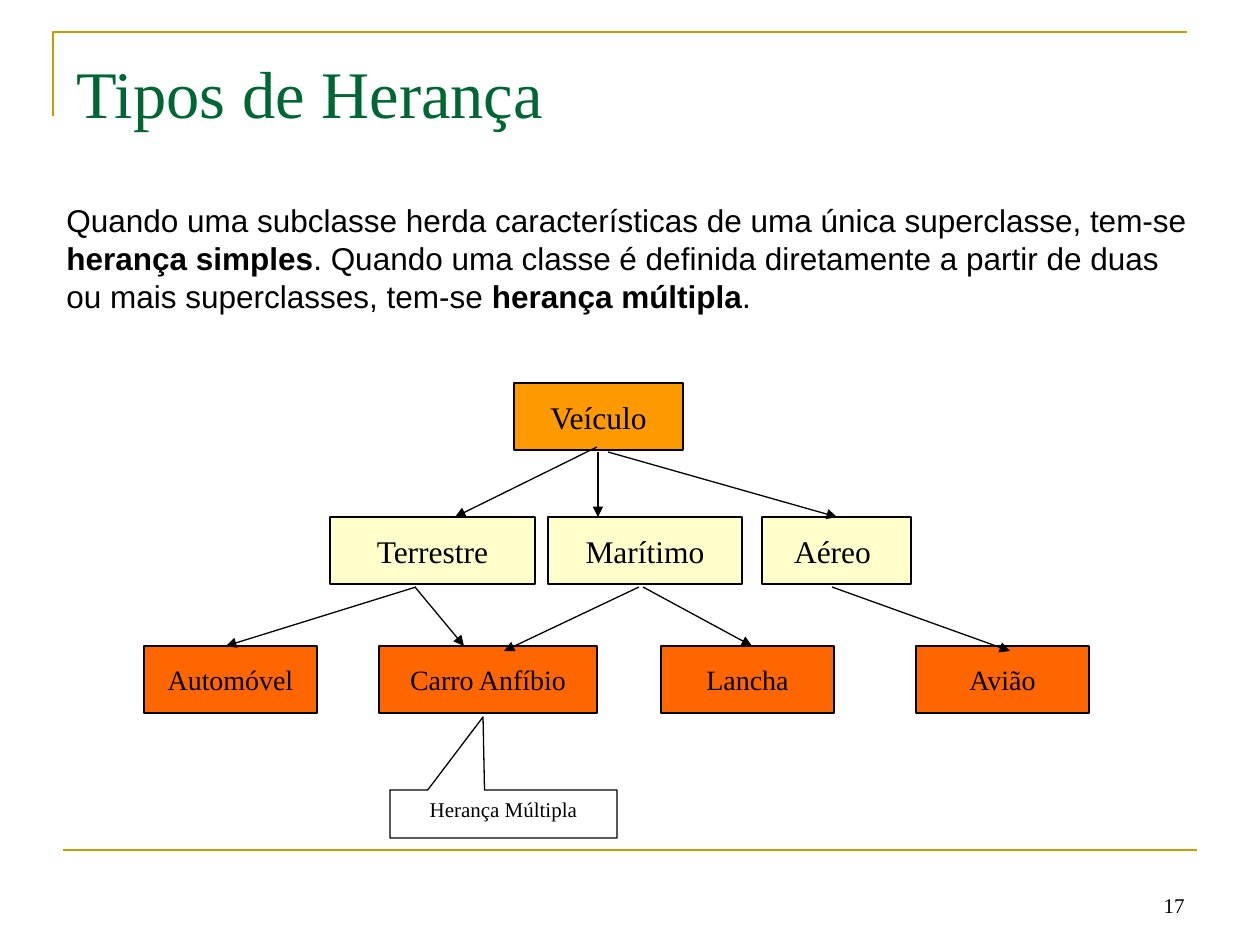
"""Build the slide on types of inheritance."""
from lxml.etree import SubElement
from pptx import Presentation
from pptx.dml.color import RGBColor
from pptx.enum.shapes import MSO_CONNECTOR, MSO_SHAPE
from pptx.enum.text import MSO_ANCHOR, PP_ALIGN
from pptx.oxml.ns import qn
from pptx.util import Emu, Pt

SCALE = 914400 / 126
BLACK = RGBColor(0x00, 0x00, 0x00)
GREEN = RGBColor(0x00, 0x66, 0x33)
GOLD = RGBColor(0xCC, 0x99, 0x00)
AMBER = RGBColor(0xFF, 0x99, 0x00)
CREAM = RGBColor(0xFF, 0xFF, 0xCC)
ORANGE = RGBColor(0xFF, 0x66, 0x00)
SERIF = "Times New Roman"
SANS = "Arial"


def px(*nums):
    return [Emu(round(num * SCALE)) for num in nums]


def write(frame, text, size=18, font=SERIF, color=BLACK, align=PP_ALIGN.LEFT,
          anchor=MSO_ANCHOR.TOP, wrap=True):
    frame.word_wrap = wrap
    frame.vertical_anchor = anchor
    para = frame.paragraphs[0]
    para.alignment = align
    for index, part in enumerate(text.split("*")):
        run = para.add_run()
        run.text = part
        run.font.size = Pt(size)
        run.font.name = font
        run.font.bold = index % 2 == 1
        run.font.color.rgb = color


class Canvas:
    def __init__(self, slide, thin=0.75, thick=1.5):
        self.shapes = slide.shapes
        self.thin = thin
        self.thick = thick

    def stroke(self, line, color, width):
        line.color.rgb = color
        line.width = Pt(width)

    def label(self, text, *rect, **style):
        write(self.shapes.add_textbox(*px(*rect)).text_frame, text, **style)

    def box(self, text, *rect, kind=MSO_SHAPE.RECTANGLE, fill=None, **style):
        shape = self.shapes.add_shape(kind, *px(*rect))
        shape.shadow.inherit = False
        if fill is None:
            shape.fill.background()
        else:
            shape.fill.solid()
            shape.fill.fore_color.rgb = fill
        self.stroke(shape.line, BLACK, self.thin)
        write(shape.text_frame, text, align=PP_ALIGN.CENTER, **style)
        return shape

    def line(self, *ends):
        link = self.shapes.add_connector(MSO_CONNECTOR.STRAIGHT, *px(*ends))
        SubElement(link._element.spPr, qn("a:effectLst"))
        return link.line

    def rule(self, *ends):
        self.stroke(self.line(*ends), GOLD, self.thick)

    def arrow(self, *ends):
        line = self.line(*ends)
        self.stroke(line, BLACK, self.thin)
        SubElement(line._get_or_add_ln(), qn("a:tailEnd"), type="triangle")

    def corner(self, start, *points):
        path = self.shapes.build_freeform(*start, scale=SCALE)
        path.add_line_segments(points, close=False)
        shape = path.convert_to_shape()
        shape.shadow.inherit = False
        shape.fill.background()
        self.stroke(shape.line, GOLD, self.thick)


def main():
    deck = Presentation()
    deck.slide_width, deck.slide_height = px(1260, 945)
    page = Canvas(deck.slides.add_slide(deck.slide_layouts[6]))

    page.corner((53, 116), (53, 32), (1187, 32))
    page.rule(63, 850, 1197, 850)
    page.label("17", 903, 861, 294, 63, size=12, align=PP_ALIGN.RIGHT,
               anchor=MSO_ANCHOR.BOTTOM)
    page.label("Tipos de Herança", 64, 43, 551, 97, size=38, color=GREEN,
               anchor=MSO_ANCHOR.MIDDLE)
    page.label("Quando uma subclasse herda características de uma única "
               "superclasse, tem-se *herança simples*. Quando uma classe é "
               "definida diretamente a partir de duas ou mais superclasses, "
               "tem-se *herança múltipla*.", 54, 195, 1152, 126, font=SANS)

    levels = [
        (383, AMBER, 18, [("Veículo", 514, 169)]),
        (517, CREAM, 18, [("Terrestre", 330, 205), ("Marítimo", 548, 194),
                          ("Aéreo ", 762, 149)]),
        (646, ORANGE, 16, [("Automóvel", 144, 173), ("Carro Anfíbio", 379, 218),
                           ("Lancha", 661, 173), ("Avião", 916, 173)]),
    ]
    for top, fill, size, nodes in levels:
        for name, left, width in nodes:
            page.box(name, left, top, width, 67, fill=fill, size=size,
                     anchor=MSO_ANCHOR.MIDDLE, wrap=False)

    for ends in [(597, 447, 455, 517), (598, 452, 598, 517),
                 (608, 452, 837, 517), (416, 587, 226, 646),
                 (415, 587, 464, 646), (639, 587, 504, 651),
                 (643, 587, 752, 646), (832, 587, 1010, 651)]:
        page.arrow(*ends)

    note = page.box("Herança Múltipla", 390, 790, 227, 48, size=12,
                    kind=MSO_SHAPE.RECTANGULAR_CALLOUT)
    note.adjustments[0] = -0.09
    note.adjustments[1] = -2.02
    deck.save("out.pptx")


if __name__ == "__main__":
    main()
